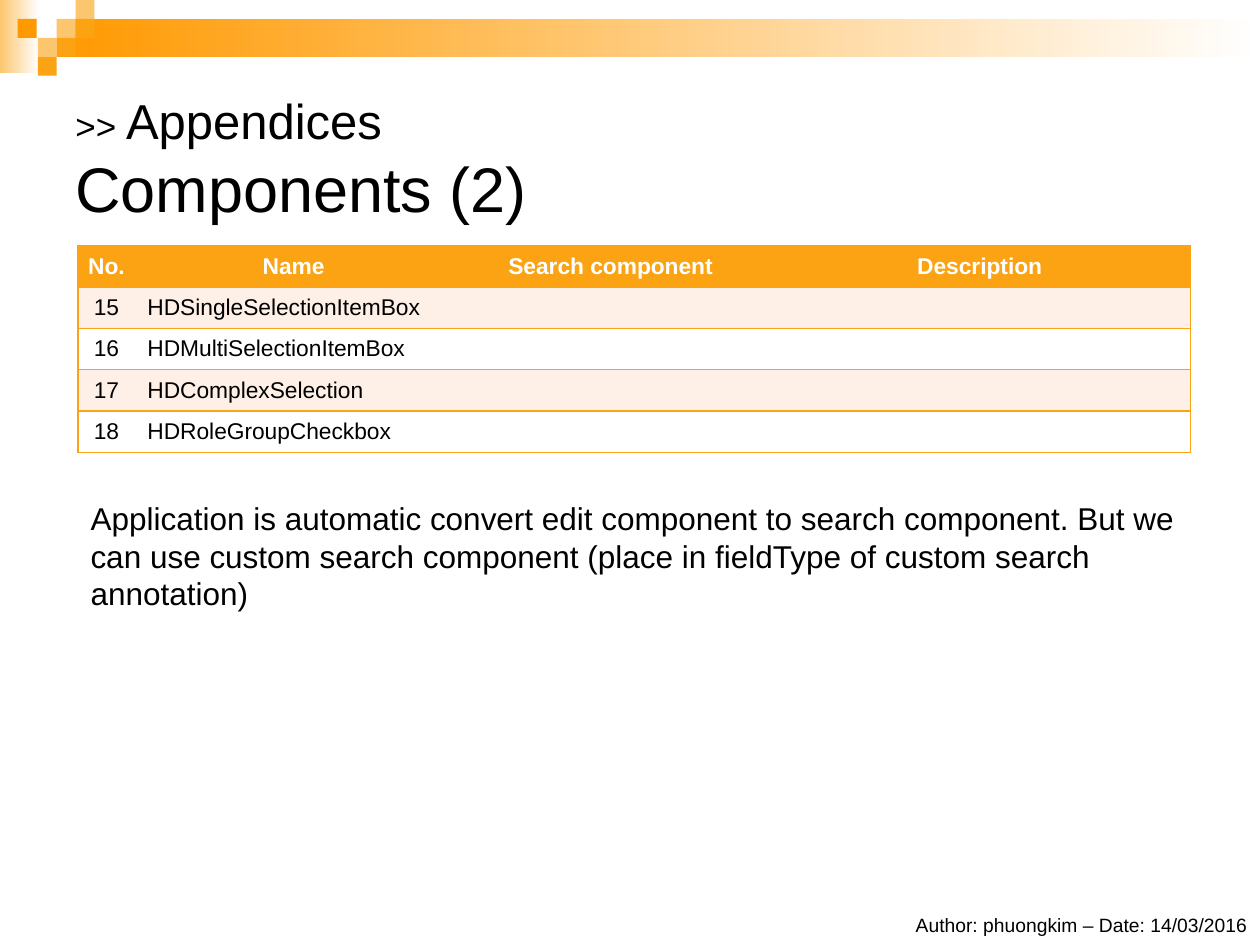
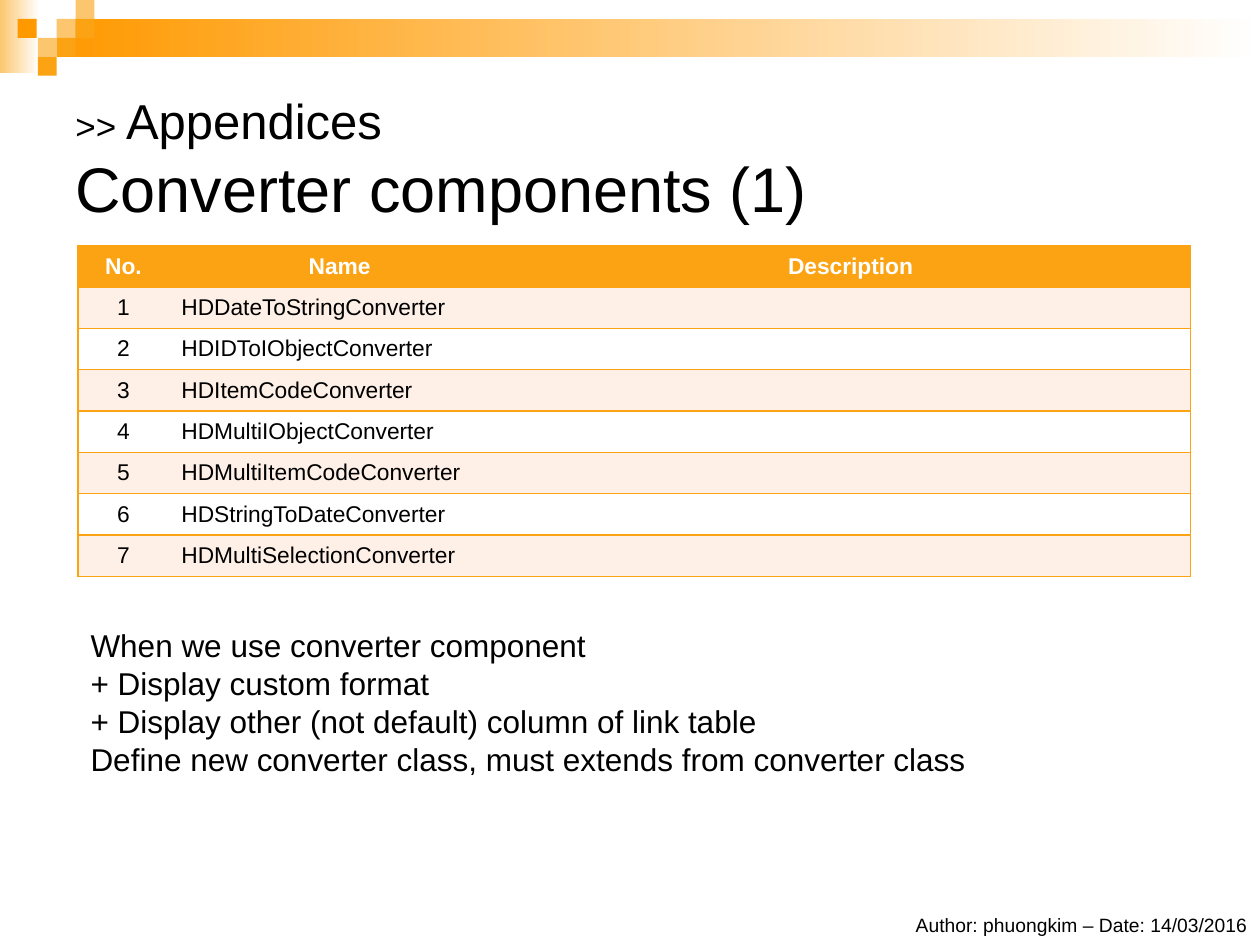
from lxml import etree
from pptx import Presentation
from pptx import util as u
from pptx.dml.color import RGBColor
from pptx.enum import shapes, text
from pptx.oxml.ns import qn

# Shared style
ORANGE = RGBColor(0xFB, 0xA3, 0x13)
DEEP_ORANGE = RGBColor(0xFF, 0x99, 0x00)
PALE_ORANGE = RGBColor(0xFC, 0xC6, 0x6E)
PEACH = RGBColor(0xFE, 0xF0, 0xE7)
WHITE = RGBColor(0xFF, 0xFF, 0xFF)
BLACK = RGBColor(0x00, 0x00, 0x00)
FONT = "Arial"
COLUMNS, ROWS = 100, 75
TILE = 1.5
ROW_HEIGHT = 3.28
CONTENT_LEFT = 6.2
LEFT, CENTER, RIGHT = text.PP_ALIGN.LEFT, text.PP_ALIGN.CENTER, text.PP_ALIGN.RIGHT

# Mosaic tiles of the header: left, top, colour
TILES = [
    (4.5, 1.5, PALE_ORANGE),
    (6, 0, PALE_ORANGE),
    (6, 1.5, ORANGE),
    (3, 3, PALE_ORANGE),
    (1.4, 1.5, DEEP_ORANGE),
    (4.5, 3, ORANGE),
    (3, 4.5, ORANGE),
]


class DeckBuilder:
    def __init__(self):
        self.deck = Presentation()
        self.deck.slide_width = u.Inches(10)
        self.deck.slide_height = u.Inches(7.5)
        self.column = self.deck.slide_width / COLUMNS
        self.row = self.deck.slide_height / ROWS
        self.page = None

    def area(self, left, top, width, height):
        return (round(left * self.column), round(top * self.row),
                round(width * self.column), round(height * self.row))

    def style(self, span, size, color=BLACK, bold=False):
        span.font.name = FONT
        span.font.size = u.Pt(size)
        span.font.color.rgb = color
        span.font.bold = bold

    def rectangle(self, place, color, fade=False):
        box = self.page.shapes.add_shape(shapes.MSO_SHAPE.RECTANGLE, *self.area(*place))
        box.shadow.inherit = False
        box.line.fill.background()
        if fade:
            box.fill.gradient()
            box.fill.gradient_angle = 0
            for stop, shade in zip(box.fill.gradient_stops, (color, WHITE)):
                stop.color.rgb = shade
        else:
            box.fill.solid()
            box.fill.fore_color.rgb = color

    def text_box(self, place, lines, size, align=LEFT):
        box = self.page.shapes.add_textbox(*self.area(*place))
        frame = box.text_frame
        frame.word_wrap = True
        frame.text = "\n".join(lines)
        for para in frame.paragraphs:
            para.alignment = align
            for span in para.runs:
                self.style(span, size)
        return frame

    def title(self, heading):
        frame = self.text_box((5, 5, 90, 15), [">> "], 20)
        frame.vertical_anchor = text.MSO_ANCHOR.MIDDLE
        para = frame.paragraphs[0]
        for words, size in (("Appendices ", 28), (heading, 36)):
            span = para.add_run()
            span.text = words
            self.style(span, size)
            if words != heading:
                para.add_line_break()

    def start_page(self, heading):
        self.page = self.deck.slides.add_slide(self.deck.slide_layouts[6])
        # Header band and mosaic
        self.rectangle((0, 0, 3.1, 5.8), PALE_ORANGE, fade=True)
        self.rectangle((4.5, 1.5, 95.5, 3), DEEP_ORANGE, fade=True)
        for left, top, color in TILES:
            self.rectangle((left, top, TILE, TILE), color)
        # Title and footer
        self.title(heading)
        self.text_box((50.8, 72, 49.2, 2.9),
                      ["Author: phuongkim – Date: 14/03/2016"], 11, RIGHT)

    def borders(self, cell, visible_sides):
        properties = cell._tc.get_or_add_tcPr()
        for side in "LRTB":
            line = etree.SubElement(properties, qn(f"a:ln{side}"), w=str(u.Pt(1)))
            if side in visible_sides:
                fill = etree.SubElement(line, qn("a:solidFill"))
                etree.SubElement(fill, qn("a:srgbClr"), val=str(ORANGE))
            else:
                etree.SubElement(line, qn("a:noFill"))

    def cell(self, cell, words, fill, color, bold, align, sides):
        self.borders(cell, sides)
        cell.fill.solid()
        cell.fill.fore_color.rgb = fill
        cell.vertical_anchor = text.MSO_ANCHOR.MIDDLE
        para = cell.text_frame.paragraphs[0]
        para.text = words
        para.alignment = align
        for span in para.runs:
            self.style(span, 13, color, bold)
        if not words:
            etree.SubElement(para._p, qn("a:endParaRPr"), sz="1300")

    def component_table(self, headings, widths, first_number, names):
        blanks = [""] * (len(headings) - 2)
        records = [headings] + [[str(number), name, *blanks]
                                for number, name in enumerate(names, first_number)]
        place = self.area(CONTENT_LEFT, 19.5, sum(widths), ROW_HEIGHT * len(records))
        table = self.page.shapes.add_table(len(records), len(headings), *place).table
        table.horz_banding = False
        for column, width in zip(table.columns, widths):
            column.width = round(width * self.column)
        last = len(headings) - 1
        for r, record in enumerate(records):
            header = r == 0
            fill = ORANGE if header else (PEACH if r % 2 else WHITE)
            for c, words in enumerate(record):
                cell = table.cell(r, c)
                if c == 0:
                    cell.margin_left = cell.margin_right = round(0.4 * self.column)
                sides = "TB" + "L" * (c == 0) + "R" * (c == last)
                align = CENTER if header or c == 0 else LEFT
                self.cell(cell, words, fill, WHITE if header else BLACK,
                          header, align, sides)

    def remark(self, top, height, lines):
        self.text_box((CONTENT_LEFT, top, 89.1, height), lines, 18)


def main():
    builder = DeckBuilder()

    # Components
    builder.start_page("Components (2)")
    builder.component_table(
        ["No.", "Name", "Search component", "Description"],
        [4.5, 25.2, 25.1, 33.5], 15,
        ["HDSingleSelectionItemBox", "HDMultiSelectionItemBox",
         "HDComplexSelection", "HDRoleGroupCheckbox"])
    builder.remark(39.1, 10.1, [
        "Application is automatic convert edit component to search component. "
        "But we can use custom search component (place in fieldType of custom "
        "search annotation)"])

    # Converter components
    builder.start_page("Converter components (1)")
    builder.component_table(
        ["No.", "Name", "Description"],
        [7.2, 27.1, 54], 1,
        ["HDDateToStringConverter", "HDIDToIObjectConverter", "HDItemCodeConverter",
         "HDMultiIObjectConverter", "HDMultiItemCodeConverter",
         "HDStringToDateConverter", "HDMultiSelectionConverter"])
    builder.remark(49.2, 13.1, [
        "When we use converter component",
        "+ Display custom format",
        "+ Display other (not default) column of link table",
        "Define new converter class, must extends from converter class"])

    builder.deck.save("out.pptx")


if __name__ == "__main__":
    main()
